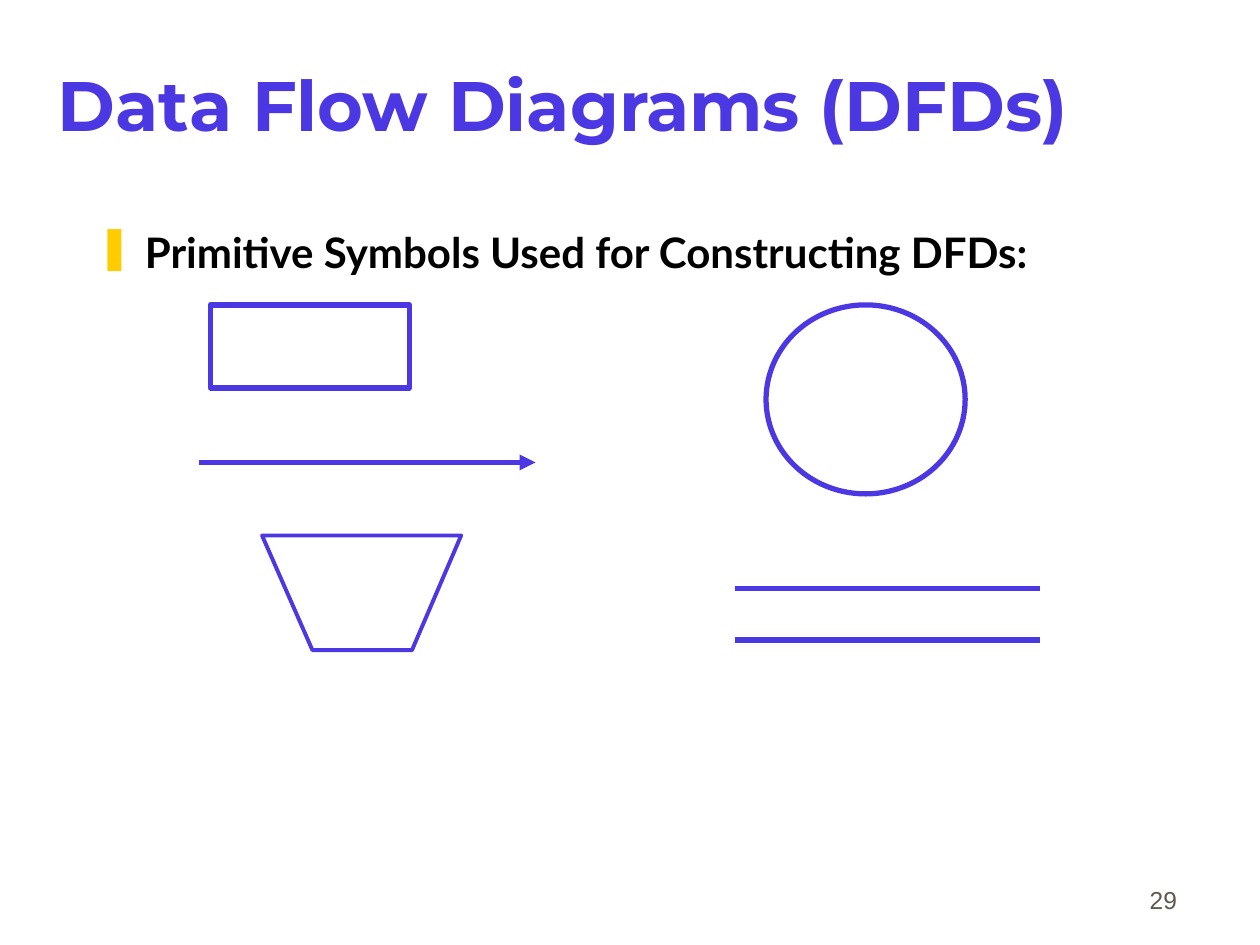
from lxml import etree
from pptx import Presentation
from pptx import util as u
from pptx.dml.color import RGBColor
from pptx.enum import shapes, text
from pptx.oxml import ns

COLORS = {"violet": "4C38E2", "black": "000000", "yellow": "FFCC00", "grey": "5E574E"}

TEXTS = [
    {"text": "Data Flow Diagrams (DFDs)", "at": (0.44, 0.2, 8.5, 1.25), "side": 0.02,
     "anchor": text.MSO_ANCHOR.MIDDLE, "align": text.PP_ALIGN.LEFT, "before": 9.9,
     "color": "violet", "font": {"name": "Montserrat", "size": u.Pt(40), "bold": True}},
    {"text": "Primitive Symbols Used for Constructing DFDs:", "at": (0.75, 1.75, 8.5, 4.5),
     "side": 0.02, "anchor": text.MSO_ANCHOR.TOP, "align": text.PP_ALIGN.LEFT, "before": 5.4,
     "color": "black", "font": {"name": "Lato", "size": u.Pt(24), "bold": True},
     "bullet": "\u275a"},
    {"text": "29", "at": (7.36, 6.81, 2.08, 0.5), "side": 0.1,
     "anchor": text.MSO_ANCHOR.BOTTOM, "align": text.PP_ALIGN.RIGHT, "before": 8.8,
     "color": "grey", "font": {"name": "Arial", "size": u.Pt(14), "bold": False}},
]
SYMBOLS = [
    (shapes.MSO_SHAPE.RECTANGLE, (1.67, 2.42, 1.58, 0.66)),
    (shapes.MSO_SHAPE.OVAL, (6.08, 2.42, 1.58, 1.5)),
]
FLOWS = [(1.58, 4.25, 3.67, True), (5.83, 8.25, 4.67, False), (5.83, 8.25, 5.08, False)]
TRAPEZOID = [(2.08, 4.25), (3.66, 4.25), (3.27, 5.16), (2.48, 5.16)]
INDENT = 0.38


def rgb(name):
    return RGBColor.from_string(COLORS[name])


def add(parent, tag, **values):
    return etree.SubElement(parent, ns.qn(tag), values)


def outline(shape, width=3):
    shape.line.color.rgb = rgb("violet")
    shape.line.width = u.Pt(width)


def hollow(shape, width=3):
    shape.shadow.inherit = False
    shape.fill.background()
    outline(shape, width)


def add_bullet(para, mark):
    props = para._p.get_or_add_pPr()
    props.set("marL", str(u.Inches(INDENT)))
    props.set("indent", str(-u.Inches(INDENT)))
    add(add(props, "a:buClr"), "a:srgbClr", val=COLORS["yellow"])
    add(props, "a:buChar", char=mark)


def add_text(page, item):
    box = page.shapes.add_textbox(*map(u.Inches, item["at"]))
    frame = box.text_frame
    layout = {"word_wrap": True, "vertical_anchor": item["anchor"],
              "margin_left": u.Inches(item["side"]), "margin_right": u.Inches(item["side"])}
    for name, value in layout.items():
        setattr(frame, name, value)
    para = frame.paragraphs[0]
    para.alignment = item["align"]
    para.space_before = u.Pt(item["before"])
    if "bullet" in item:
        add_bullet(para, item["bullet"])
    span = para.add_run()
    span.text = item["text"]
    for name, value in item["font"].items():
        setattr(span.font, name, value)
    span.font.color.rgb = rgb(item["color"])


deck = Presentation()
deck.slide_width, deck.slide_height = u.Inches(10), u.Inches(7.5)
page = deck.slides.add_slide(deck.slide_layouts[6])

for item in TEXTS:
    add_text(page, item)

for kind, place in SYMBOLS:
    hollow(page.shapes.add_shape(kind, *map(u.Inches, place)))

for left, right, top, arrow in FLOWS:
    flow = page.shapes.add_connector(
        shapes.MSO_CONNECTOR.STRAIGHT, *map(u.Inches, (left, top, right, top)))
    outline(flow)
    if arrow:
        add(flow.line._get_or_add_ln(), "a:tailEnd", type="triangle")
    add(flow._element.spPr, "a:effectLst")

corners = [(u.Inches(x), u.Inches(y)) for x, y in TRAPEZOID]
builder = page.shapes.build_freeform(*corners[0])
builder.add_line_segments(corners[1:], close=True)
hollow(builder.convert_to_shape(), 2.25)

deck.save("out.pptx")
